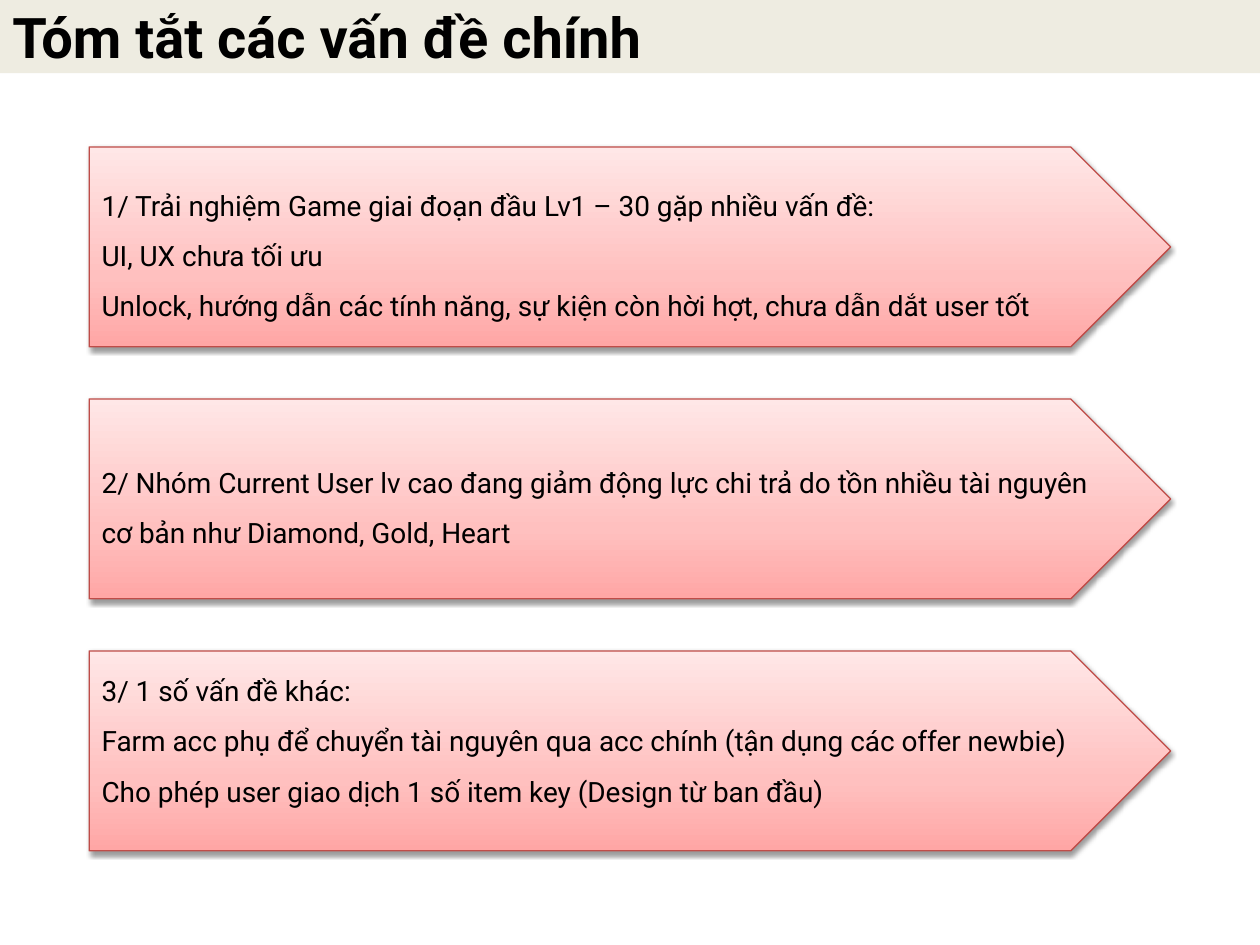
from pptx import Presentation
from pptx.dml.color import RGBColor
from pptx.enum.shapes import MSO_SHAPE as Shape
from pptx.enum.text import MSO_ANCHOR as Anchor, PP_ALIGN as Align
from pptx.oxml import parse_xml
from pptx.oxml.ns import nsdecls, qn
from pptx.util import Pt

BLACK = RGBColor(0x00, 0x00, 0x00)
BEIGE = RGBColor(0xEE, 0xEC, 0xE1)
RED = RGBColor(0xBF, 0x4C, 0x48)
PINKS = [(0, RGBColor(0xFF, 0xA6, 0xA5)),
         (35, RGBColor(0xFF, 0xC0, 0xBF)),
         (100, RGBColor(0xFF, 0xE7, 0xE7))]


class Deck:
    font = "Roboto"

    def __init__(self, prs):
        self.s = prs.slides.add_slide(prs.slide_layouts[6])

    def shape(self, kind, x, y, w, h):
        sp = self.s.shapes.add_shape(kind, Pt(x), Pt(y), Pt(w), Pt(h))
        sp.shadow.inherit = False
        return sp

    def text(self, sp, lines, size, bold=False, spacing=1.0,
             anchor=Anchor.MIDDLE, bottom=3.6):
        tf = sp.text_frame
        tf.word_wrap = True
        tf.vertical_anchor = anchor
        tf.margin_bottom = Pt(bottom)
        for i, line in enumerate(lines):
            p = tf.add_paragraph() if i else tf.paragraphs[0]
            p.alignment = Align.LEFT
            p.line_spacing = spacing
            r = p.add_run()
            r.text = line
            r.font.name = self.font
            r.font.size = Pt(size)
            r.font.bold = bold
            r.font.color.rgb = BLACK

    def title(self, line):
        sp = self.shape(Shape.RECTANGLE, 0, 0, 720, 41.75)
        sp.fill.solid()
        sp.fill.fore_color.rgb = BEIGE
        sp.line.fill.background()
        self.text(sp, [line], 32, bold=True)

    def arrow(self, y, lines, **layout):
        sp = self.shape(Shape.PENTAGON, 51, y, 618, 114.25)
        sp.line.color.rgb = RED
        sp.line.width = Pt(0.75)
        # Three-stop gradient running upwards
        sp.fill.gradient()
        sp.fill.gradient_angle = 90
        pr = sp.element.spPr
        stops = pr.find(qn("a:gradFill")).find(qn("a:gsLst"))
        for gs in list(stops):
            stops.remove(gs)
        for pos, color in PINKS:
            stops.append(parse_xml(
                f'<a:gs {nsdecls("a")} pos="{pos * 1000}">'
                f'<a:srgbClr val="{color}"/></a:gs>'))
        # Soft shadow below
        pr.find(qn("a:effectLst")).append(parse_xml(
            f'<a:outerShdw {nsdecls("a")} blurRad="{Pt(3.1)}" dist="{Pt(1.6)}"'
            ' dir="5400000" rotWithShape="0"><a:srgbClr val="000000">'
            '<a:alpha val="38000"/></a:srgbClr></a:outerShdw>'))
        self.text(sp, lines, 16, spacing=1.5, **layout)


def main():
    prs = Presentation()
    prs.slide_width, prs.slide_height = Pt(720), Pt(540)
    deck = Deck(prs)

    # Heading band
    deck.title("Tóm tắt các vấn đề chính")

    # Issue arrows, evenly spaced
    issues = [
        (["1/ Trải nghiệm Game giai đoạn đầu Lv1 – 30 gặp nhiều vấn đề:",
          "UI, UX chưa tối ưu",
          "Unlock, hướng dẫn các tính năng, sự kiện còn hời hợt, "
          "chưa dẫn dắt user tốt"], {}),
        (["2/ Nhóm Current User lv cao đang giảm động lực chi trả do tồn "
          "nhiều tài nguyên cơ bản như Diamond, Gold, Heart"], {}),
        (["3/ 1 số vấn đề khác:",
          "Farm acc phụ để chuyển tài nguyên qua acc chính "
          "(tận dụng các offer newbie)",
          "Cho phép user giao dịch 1 số item key (Design từ ban đầu)"],
         {"anchor": Anchor.BOTTOM, "bottom": 24.7}),
    ]
    for i, (lines, layout) in enumerate(issues):
        deck.arrow(84 + 144 * i, lines, **layout)

    prs.save("out.pptx")


if __name__ == "__main__":
    main()
